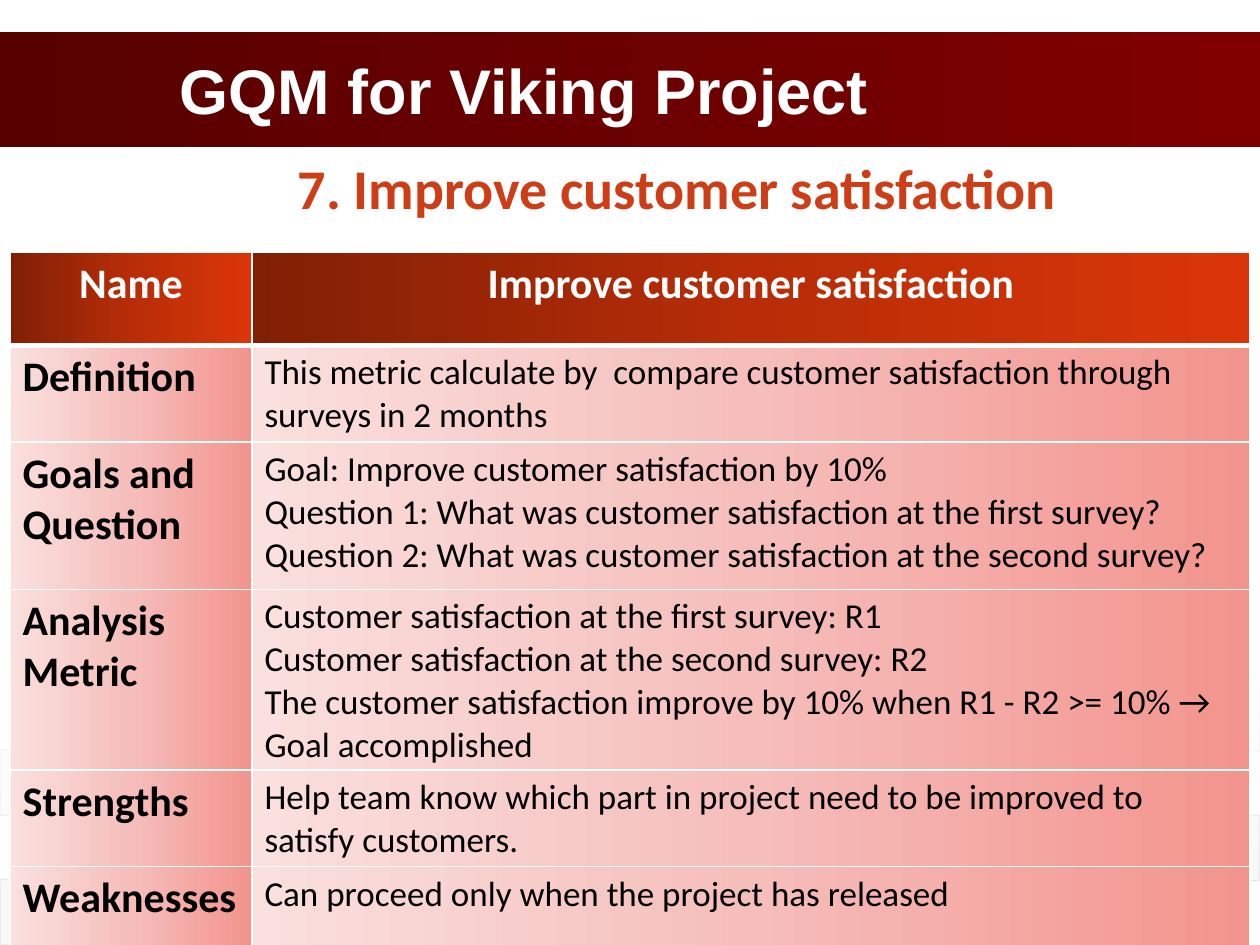
from lxml import etree
from pptx import Presentation
from pptx import util as u
from pptx.dml.color import RGBColor
from pptx.enum import shapes, text
from pptx.oxml import ns

COLORS = {
    "white": "FFFFFF", "black": "000000", "subtitle": "CD3D16",
    "band_dark": "570000", "band_light": "800000",
    "header_dark": "811F05", "header_mid": "B82D07", "header_light": "DA3508",
    "body_dark": "F3948D", "body_mid": "F5BEBB", "body_light": "FAE0DE",
    "gold": "D3A911", "teal": "38A3B2", "gray": "DDDDDD", "pale": "EAEAEA",
}


def add_gradient(properties, stops, angle):
    """Append a linear gradient; each stop is (position %, colour name, opacity %)."""
    gradient = etree.SubElement(properties, ns.qn("a:gradFill"), rotWithShape="1")
    stop_list = etree.SubElement(gradient, ns.qn("a:gsLst"))
    for position, name, opacity in stops:
        stop = etree.SubElement(stop_list, ns.qn("a:gs"), pos=str(position * 1000))
        color = etree.SubElement(stop, ns.qn("a:srgbClr"), val=COLORS[name])
        if opacity < 100:
            etree.SubElement(color, ns.qn("a:alpha"), val=str(opacity * 1000))
    etree.SubElement(gradient, ns.qn("a:lin"), ang=str(angle * 60000), scaled="0")


def write_text(frame, wording, size, color, font="Calibri", bold=False, align=text.PP_ALIGN.LEFT):
    """Write one paragraph per line of the wording."""
    frame.word_wrap = True
    for index, line in enumerate(wording.split("\n")):
        para = frame.add_paragraph() if index else frame.paragraphs[0]
        para.alignment = align
        span = para.add_run()
        span.text = line
        span.font.name = font
        span.font.size = u.Pt(size)
        span.font.bold = bold
        span.font.color.rgb = RGBColor.from_string(COLORS[color])


deck = Presentation()
deck.slide_width, deck.slide_height = u.Inches(10), u.Inches(7.5)
page = deck.slides.add_slide(deck.slide_layouts[6])
rectangle = shapes.MSO_SHAPE.RECTANGLE

# Title band
band = page.shapes.add_shape(rectangle, 0, u.Inches(0.25), u.Inches(10), u.Inches(0.92))
band.shadow.inherit = False
add_gradient(band._element.spPr, [(0, "band_dark", 100), (100, "band_light", 100)], 0)
band.line.fill.background()

# Checkerboard of faint tiles: top, first column, opacity, colour of each tile
TILE_NAMES = {"d": "gray", "e": "pale", "g": "gold", "t": "teal"}
tile_rows = [
    (5.44, 1, 5, "teetdtege"),
    (5.95, 0, 10, "ddddgdddt"),
    (6.47, 1, 20, "dgddddgdd"),
    (6.98, 0, 20, "dddtddtdd"),
]
for top, first_column, opacity, letters in tile_rows:
    for index, letter in enumerate(letters):
        left = (first_column + 2 * index) * 10 / 18
        tile = page.shapes.add_shape(rectangle, u.Inches(left), u.Inches(top),
                                     u.Inches(0.55), u.Inches(0.52))
        tile.shadow.inherit = False
        tile.fill.solid()
        tile.fill.fore_color.rgb = RGBColor.from_string(COLORS[TILE_NAMES[letter]])
        tile.line.color.rgb = RGBColor.from_string(COLORS["gray"])
        tile.line.width = u.Pt(0.75)
        paints = list(tile._element.spPr.iter(ns.qn("a:srgbClr")))
        for paint, alpha in zip(paints, (opacity, 60)):
            etree.SubElement(paint, ns.qn("a:alpha"), val=str(alpha * 1000))

# White veil that fades the upper tiles
veil = page.shapes.add_shape(rectangle, 0, u.Inches(5.37), u.Inches(10), u.Inches(1.62))
veil.shadow.inherit = False
add_gradient(veil._element.spPr, [(0, "white", 90), (100, "white", 0)], 90)
veil.line.fill.background()

# Title and subtitle
title = page.shapes.add_textbox(u.Inches(1.33), u.Inches(0.25), u.Inches(8.08), u.Inches(0.92))
title.text_frame.vertical_anchor = text.MSO_ANCHOR.MIDDLE
write_text(title.text_frame, "GQM for Viking Project", size=36, color="white",
           font="Arial", bold=True)
subtitle = page.shapes.add_textbox(u.Inches(1.25), u.Inches(1.17), u.Inches(8.25), u.Inches(0.58))
write_text(subtitle.text_frame, "7. Improve customer satisfaction", size=32,
           color="subtitle", bold=True, align=text.PP_ALIGN.CENTER)

# Metric table
metric_rows = [
    (0.74, "Name", "Improve customer satisfaction"),
    (0.59, "Definition",
     "This metric calculate by  compare customer satisfaction through surveys in 2 months"),
    (1.17, "Goals and Question",
     "Goal: Improve customer satisfaction by 10%\n"
     "Question 1: What was customer satisfaction at the first survey?\n"
     "Question 2: What was customer satisfaction at the second survey?"),
    (1.31, "Analysis Metric",
     "Customer satisfaction at the first survey: R1\n"
     "Customer satisfaction at the second survey: R2\n"
     "The customer satisfaction improve by 10% when R1 - R2 >= 10% → Goal accomplished"),
    (0.46, "Strengths",
     "Help team know which part in project need to be improved to satisfy customers."),
    (0.74, "Weaknesses", "Can proceed only when the project has released"),
]
header_stops = [(0, "header_dark", 100), (50, "header_mid", 100), (100, "header_light", 100)]
body_stops = [(0, "body_dark", 100), (50, "body_mid", 100), (100, "body_light", 100)]

table = page.shapes.add_table(len(metric_rows), 2, u.Inches(0.08), u.Inches(2),
                              u.Inches(9.84), u.Inches(5.01)).table
table.horz_banding = False
for column, width in zip(table.columns, (1.92, 7.92)):
    column.width = u.Inches(width)

for row_index, (height, *wordings) in enumerate(metric_rows):
    table.rows[row_index].height = u.Inches(height)
    is_header = row_index == 0
    for column_index, wording in enumerate(wordings):
        cell = table.cell(row_index, column_index)
        is_strong = is_header or column_index == 0
        write_text(cell.text_frame, wording, size=24 if is_strong else 20,
                   color="white" if is_header else "black", bold=is_strong,
                   align=text.PP_ALIGN.CENTER if is_header else text.PP_ALIGN.LEFT)
        properties = cell._tc.get_or_add_tcPr()
        for side in ("lnL", "lnR", "lnT", "lnB"):
            beside_header = (row_index, side) in ((0, "lnB"), (1, "lnT"))
            border = etree.SubElement(properties, ns.qn("a:" + side),
                                      w=str(u.Pt(3 if beside_header else 1)))
            paint = etree.SubElement(border, ns.qn("a:solidFill"))
            etree.SubElement(paint, ns.qn("a:srgbClr"), val=COLORS["white"])
        if is_header:
            add_gradient(properties, header_stops, 0)
        else:
            add_gradient(properties, body_stops, 180)

deck.save("out.pptx")
